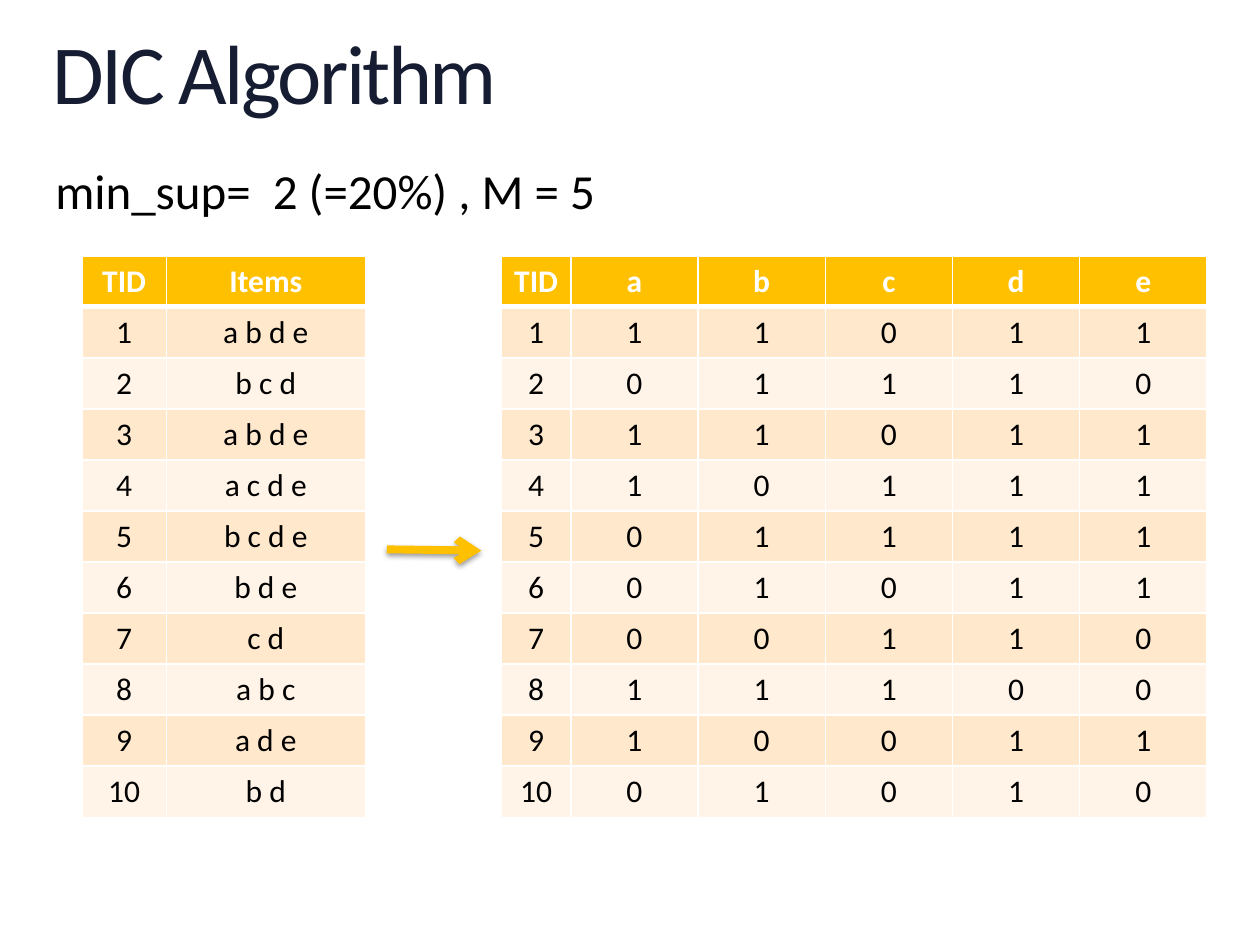
"""Build the DIC Algorithm slide with a transaction table and its binary form."""
from lxml import etree
from pptx import Presentation
from pptx.dml.color import RGBColor
from pptx.enum.shapes import MSO_CONNECTOR
from pptx.enum.text import MSO_ANCHOR, PP_ALIGN
from pptx.oxml import parse_xml
from pptx.oxml.ns import nsdecls, qn
from pptx.util import Inches, Pt

STRAIGHT = MSO_CONNECTOR.STRAIGHT
TOP = MSO_ANCHOR.TOP
LEFT, CENTER = PP_ALIGN.LEFT, PP_ALIGN.CENTER

FONT = "Calibri"
COLORS = {
    "title": "161D32",
    "text": "000000",
    "white": "FFFFFF",
    "accent": "FFC000",
    "odd": "FFE8CC",
    "even": "FFF4E7",
}
TITLE = "DIC Algorithm"
SETTINGS = "min_sup=  2 (=20%) , M = 5"
ITEMS = "abcde"
TRANSACTIONS = ["abde", "bcd", "abde", "acde", "bcde", "bde", "cd", "abc", "ade", "bd"]

TABLE_TOP = 2.03
TABLE_HEIGHT = 4.46
ITEM_TABLE = {"left": 0.65, "widths": [0.67, 1.58]}
BINARY_TABLE = {"left": 3.98, "widths": [0.55] + [1.01] * len(ITEMS)}
ARROW = {"start": (3.07, 4.36), "end": (3.82, 4.37)}


def write_text(frame, text, size=18, color="text", bold=False, align=CENTER,
               line_spacing=None, tracking=None):
    para = frame.paragraphs[0]
    para.alignment = align
    if line_spacing:
        para.line_spacing = line_spacing
    span = para.add_run()
    span.text = text
    span.font.name = FONT
    span.font.size = Pt(size)
    span.font.bold = bold
    span.font.color.rgb = RGBColor.from_string(COLORS[color])
    if tracking:
        span.font._element.set("spc", str(int(tracking * 100)))


def place_frame(box, left, top, width, height):
    box.left, box.top = Inches(left), Inches(top)
    box.width, box.height = Inches(width), Inches(height)
    frame = box.text_frame
    frame.margin_left = frame.margin_top = frame.margin_right = frame.margin_bottom = 0
    frame.word_wrap = True
    frame.vertical_anchor = TOP
    return frame


def set_borders(cell, **widths):
    properties = cell._tc.get_or_add_tcPr()
    for position, side in enumerate("LRTB"):
        border = parse_xml(
            f'<a:ln{side} {nsdecls("a")} w="{Pt(widths.get(side, 1))}"><a:solidFill>'
            f'<a:srgbClr val="{COLORS["white"]}"/></a:solidFill></a:ln{side}>')
        properties.insert(position, border)


def add_grid(slide, rows, left, widths):
    shape = slide.shapes.add_table(
        len(rows), len(widths), Inches(left), Inches(TABLE_TOP),
        Inches(sum(widths)), Inches(TABLE_HEIGHT))
    table = shape.table
    for column, width in zip(table.columns, widths):
        column.width = Inches(width)
    for row_index, row in enumerate(rows):
        header = row_index == 0
        band = "accent" if header else ("even", "odd")[row_index % 2]
        borders = {0: {"B": 3}, 1: {"T": 3}}.get(row_index, {})
        for column_index, text in enumerate(row):
            cell = table.cell(row_index, column_index)
            cell.fill.solid()
            cell.fill.fore_color.rgb = RGBColor.from_string(COLORS[band])
            set_borders(cell, **borders)
            write_text(cell.text_frame, text, bold=header,
                       color="white" if header else "text")


def add_arrow(slide, start, end):
    arrow = slide.shapes.add_connector(STRAIGHT, *map(Inches, start + end))
    arrow.line.color.rgb = RGBColor.from_string(COLORS["accent"])
    arrow.line.width = Pt(4.5)
    etree.SubElement(arrow.line._get_or_add_ln(), qn("a:tailEnd"), type="arrow")
    arrow._element.spPr.append(parse_xml(
        f'<a:effectLst {nsdecls("a")}><a:outerShdw blurRad="{Pt(3.1)}" dist="{Pt(1.6)}" '
        f'dir="5400000" rotWithShape="0"><a:srgbClr val="{COLORS["text"]}">'
        '<a:alpha val="38000"/></a:srgbClr></a:outerShdw></a:effectLst>'))


def main():
    deck = Presentation()
    deck.slide_width, deck.slide_height = Inches(10), Inches(7.5)
    slide = deck.slides.add_slide(deck.slide_layouts[5])

    title = place_frame(slide.shapes.title, 0.42, 0.25, 9.17, 0.73)
    write_text(title, TITLE, size=48, color="title", align=LEFT,
               line_spacing=0.9, tracking=-1.5)
    settings_box = slide.shapes.add_textbox(0, 0, 0, 0)
    settings = place_frame(settings_box, 0.44, 1.33, 9.17, 0.42)
    write_text(settings, SETTINGS, size=28, align=LEFT, line_spacing=0.9)

    item_rows = [["TID", "Items"]]
    binary_rows = [["TID", *ITEMS]]
    for number, transaction in enumerate(TRANSACTIONS, start=1):
        item_rows.append([str(number), " ".join(transaction)])
        binary_rows.append([str(number), *(str(int(item in transaction)) for item in ITEMS)])
    add_grid(slide, item_rows, **ITEM_TABLE)
    add_grid(slide, binary_rows, **BINARY_TABLE)
    add_arrow(slide, **ARROW)
    deck.save("out.pptx")


if __name__ == "__main__":
    main()
